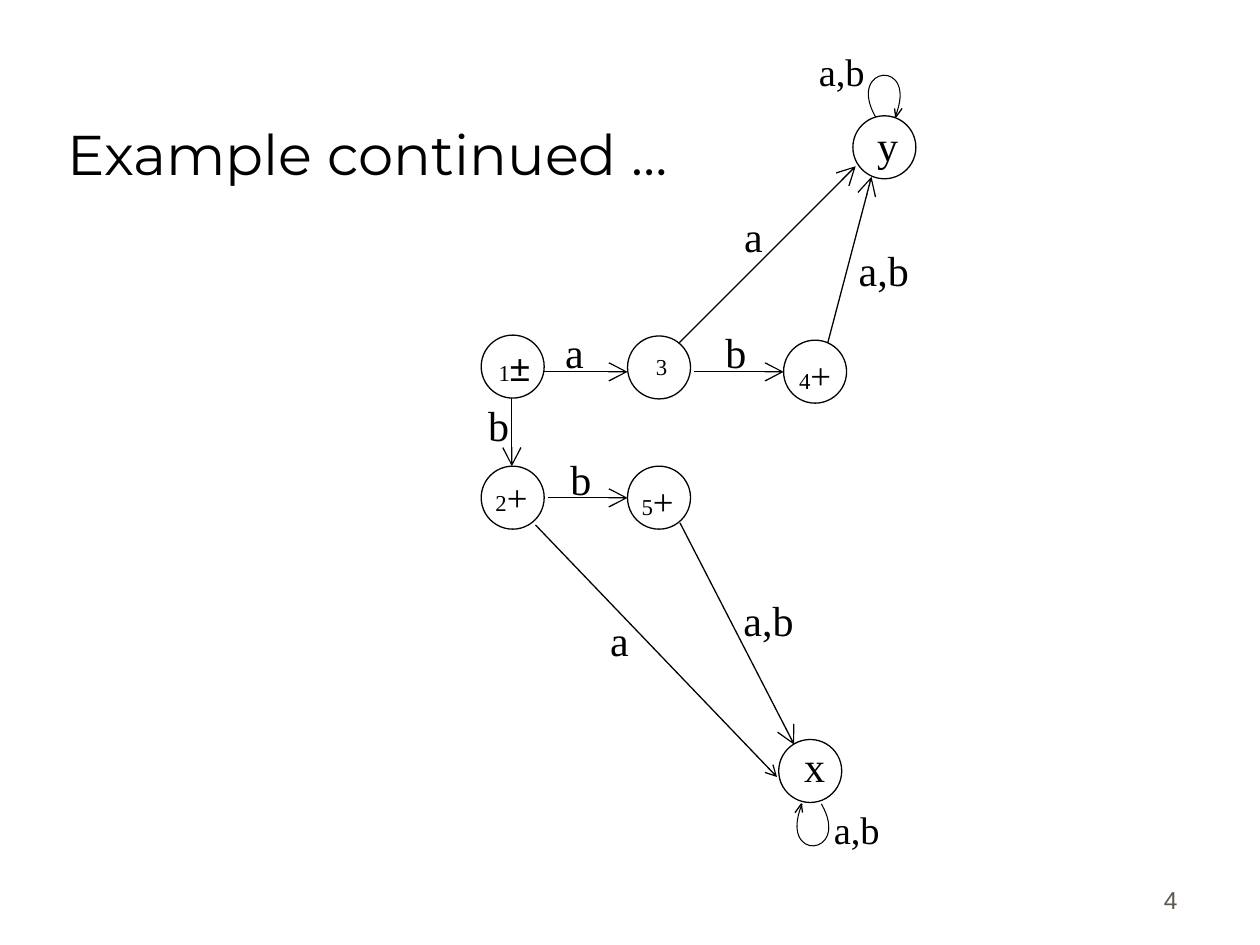
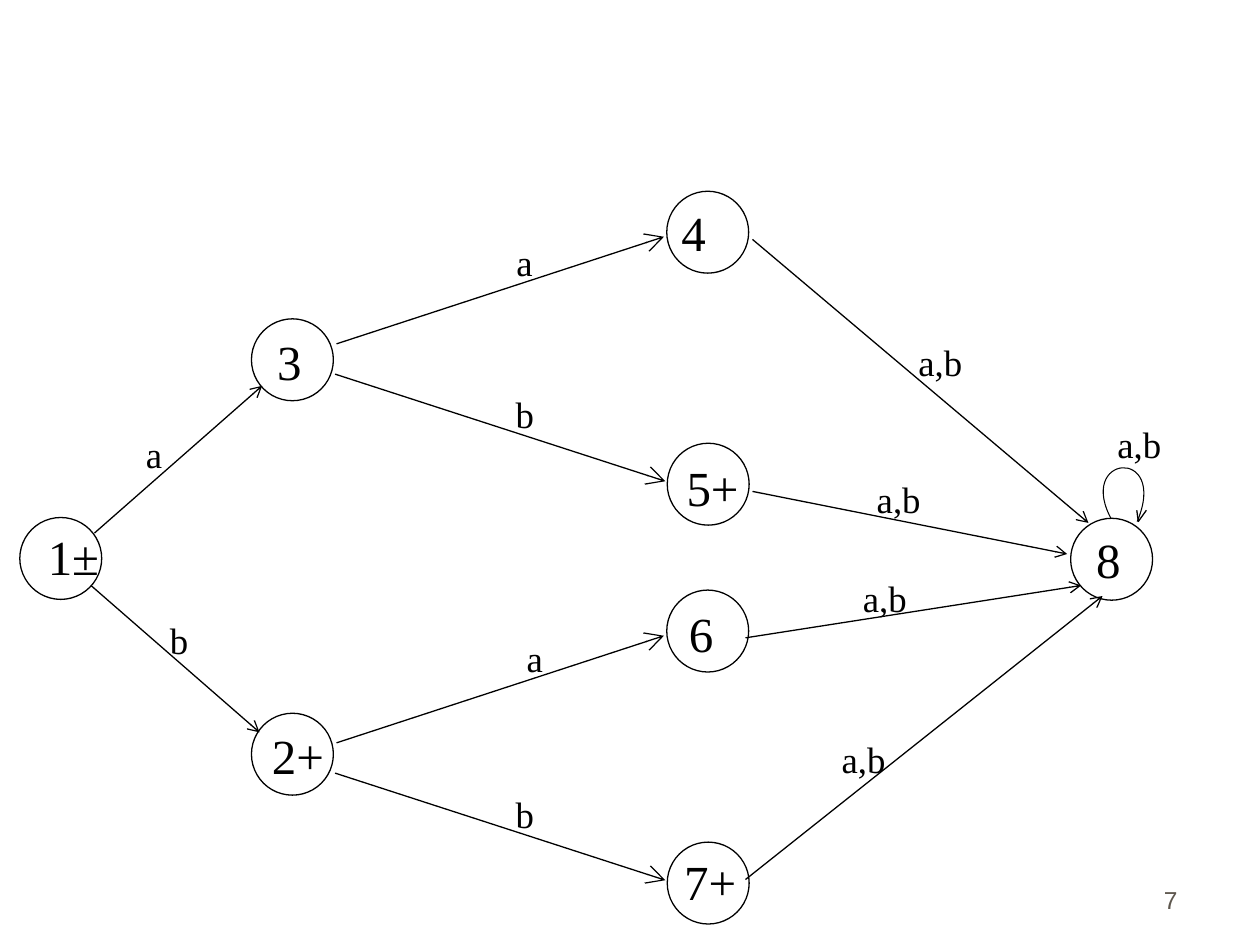
import pptx
import pptx.dml.color
import pptx.enum.shapes
import pptx.enum.text
import pptx.oxml
import pptx.oxml.ns
import pptx.util

Pt = pptx.util.Pt
ALIGN = pptx.enum.text.PP_ALIGN
ANCHOR = pptx.enum.text.MSO_ANCHOR
COLOURS = {"ink": "000000", "paper": "FFFFFF", "number": "5E574E"}
SERIF, SANS, TITLE = "Times New Roman", "Arial", "Montserrat"
LINE = 0.74
# Offsets from the point where a self-loop leaves its state, at scale 1.
LOOP_CURVE = [(0, 0), (-17.3, -30.1), (25.2, -33.8), (11, 0)]
LOOP_HEAD = [(10.8, -5), (11.5, 0), (15.1, -5)]


def colour(name):
    """Return the named colour as an RGB value."""
    return pptx.dml.color.RGBColor.from_string(COLOURS[name])


def add_text(page, words, left, top, width, height, *, size=24, font=SERIF,
             ink="ink", align=ALIGN.LEFT, anchor=ANCHOR.TOP):
    """Add a text box; words is a string or a list of (text, size, font)."""
    box = page.shapes.add_textbox(Pt(left), Pt(top), Pt(width), Pt(height))
    frame = box.text_frame
    frame.word_wrap = True
    frame.vertical_anchor = anchor
    para = frame.paragraphs[0]
    para.alignment = align
    spans = [(words, size, font)] if isinstance(words, str) else words
    for content, span_size, span_font in spans:
        span = para.add_run()
        span.text = content
        span.font.size = Pt(span_size)
        span.font.name = span_font
        span.font.color.rgb = colour(ink)


def add_page(deck, number):
    """Add a blank page with its page number."""
    page = deck.slides.add_slide(deck.slide_layouts[6])
    add_text(page, str(number), 530, 490.3, 150, 36, size=14, font=SANS,
             ink="number", align=ALIGN.RIGHT, anchor=ANCHOR.BOTTOM)
    return page


def add_state(page, left, top, diameter):
    """Add the circle of a state."""
    circle = page.shapes.add_shape(
        pptx.enum.shapes.MSO_SHAPE.OVAL,
        Pt(left), Pt(top), Pt(diameter), Pt(diameter))
    circle.shadow.inherit = False
    circle.fill.solid()
    circle.fill.fore_color.rgb = colour("paper")
    circle.line.color.rgb = colour("ink")
    circle.line.width = Pt(LINE)


def add_arrow(page, start, end, head="lg"):
    """Add a straight transition arrow with a head of size med or lg."""
    arrow = page.shapes.add_connector(
        pptx.enum.shapes.MSO_CONNECTOR.STRAIGHT,
        *(Pt(value) for value in (*start, *end)))
    arrow.line.color.rgb = colour("ink")
    arrow.line.width = Pt(LINE)
    tail = pptx.oxml.parse_xml(
        f'<a:tailEnd {pptx.oxml.ns.nsdecls("a")} type="arrow" w="{head}" len="{head}"/>')
    arrow.line._get_or_add_ln().append(tail)
    arrow._element.spPr.append(
        pptx.oxml.parse_xml(f'<a:effectLst {pptx.oxml.ns.nsdecls("a")}/>'))


def add_outline(page, points, width):
    """Add an open, unfilled outline through the points."""
    start, *others = [(Pt(x), Pt(y)) for x, y in points]
    builder = page.shapes.build_freeform(*start, scale=1.0)
    builder.add_line_segments(others, close=False)
    outline = builder.convert_to_shape()
    outline.shadow.inherit = False
    outline.fill.background()
    outline.line.color.rgb = colour("ink")
    outline.line.width = Pt(width)
    return outline


def add_loop(page, x, y, scale=1):
    """Add a self-loop leaving its state at x, y; scale -1 hangs it below."""
    curve, head = ([(x + scale * dx, y + scale * dy) for dx, dy in offsets]
                   for offsets in (LOOP_CURVE, LOOP_HEAD))
    loop = add_outline(page, curve, 0.6)
    segments = loop._element.xpath(".//a:lnTo")
    bezier = pptx.oxml.parse_xml(
        f'<a:cubicBezTo {pptx.oxml.ns.nsdecls("a")}/>')
    segments[0].addprevious(bezier)
    for segment in segments:
        bezier.append(segment[0])
        segment.getparent().remove(segment)
    add_outline(page, head, LINE)


def add_centred(page, words, middle, top, width=36, **form):
    """Add a label centred on a horizontal position."""
    add_text(page, words, middle - width / 2, top, width, 36,
             align=ALIGN.CENTER, **form)


def build_small_automaton(deck):
    """Build the page with the title and the seven-state automaton."""
    page = add_page(deck, 4)
    add_text(page, "Example continued …", 31.5, 20, 612, 90, size=32,
             font=TITLE, anchor=ANCHOR.BOTTOM)
    for left, top in [(275, 191.5), (275, 266.4), (358.6, 192), (358.6, 266.4),
                      (447.8, 194.4), (445, 422.6), (487.4, 66.2)]:
        add_state(page, left, top, 36)
    add_loop(page, 500.4, 67)
    add_loop(page, 469.4, 459.4, -1)
    for start, end in [((310.5, 212.5), (358.6, 212.5)),
                       ((396.6, 212.5), (447.8, 212.5)),
                       ((313, 284.5), (358.6, 284.5)),
                       ((292.5, 227.5), (292.5, 266.4)),
                       ((388, 196), (489, 95)),
                       ((473, 196), (498, 101)),
                       ((388.6, 298.8), (453.8, 425.5))]:
        add_arrow(page, start, end)
    add_arrow(page, (306, 300), (444, 444), "med")

    for words, middle, top, width in [
            ("a", 328.3, 183, 36), ("b", 420.5, 183, 36),
            ("a", 430.6, 116.6, 36), ("a,b", 505, 136, 70),
            ("b", 285, 224.6, 36), ("b", 332, 255.6, 36),
            ("a,b", 439.2, 336.2, 70), ("a", 354, 347.8, 84),
            ("x", 465.5, 419.8, 84), ("y", 507.2, 64.8, 84)]:
        add_centred(page, words, middle, top, width)
    for left, top in [(460.8, 23.8), (469.4, 457.2)]:
        add_text(page, "a,b", left, top, 47, 32, size=22)
    add_centred(page, "3", 378, 198, size=13)
    for digit, sign, font, middle, top in [
            (" 1", "±", SANS, 292.3, 193.7), ("2", "+", SERIF, 292.3, 267.8),
            ("4", "+", SERIF, 465.8, 198), ("5", "+", SERIF, 375.8, 270)]:
        add_centred(page, [(digit, 13, SERIF), (sign, 21, font)], middle, top)


def build_large_automaton(deck):
    """Build the page with the eight-state automaton."""
    page = add_page(deck, 7)
    add_loop(page, 635.8, 298, 1.28)
    states = [  # circle left and top, label, label left and top
        (11.3, 295.7, "1±", 20.2, 297.4), (143.7, 407.6, "2+", 148.3, 411.1),
        (143.7, 182.2, "3", 151.2, 185.8), (381, 109.3, "4", 382.3, 112.3),
        (381.3, 253.3, "5+", 385.2, 257.8), (381, 337.2, "6", 386.6, 341.3),
        (381.3, 481.2, "7+", 383.8, 483.1), (611.8, 296.2, "8", 619.2, 298.8)]
    for left, top, *_ in states:
        add_state(page, left, top, 46.8)

    # The two middle states branch alike, one 228 points below the other.
    for drop in (0, 228):
        add_arrow(page, (192.3, 196.5 + drop), (379.4, 135.3 + drop))
        add_arrow(page, (191.5, 213.8 + drop), (380.2, 275 + drop))
    for start, end in [((54, 304.6), (149.8, 220.5)),
                       ((52, 334.6), (148.3, 418.5)),
                       ((430, 136.8), (622, 298.8)),
                       ((430, 280.8), (609.8, 316.6)),
                       ((426, 364.5), (617.8, 334.6)),
                       ((426, 502.6), (630, 340.6))]:
        add_arrow(page, start, end, "med")

    labels = [(words, left, top, 28) for *_, words, left, top in states]
    labels += [(words, left, top, 21) for words, left, top in [
        ("a", 76.3, 243.4), ("b", 90, 349.2),
        ("a", 288, 133.2), ("b", 287.5, 220.3),
        ("a", 293.8, 360), ("b", 287.5, 448.6),
        ("a,b", 517.7, 190.8), ("a,b", 493.9, 268.6),
        ("a,b", 486, 325.4), ("a,b", 473.8, 417.6), ("a,b", 631.4, 237.6)]]
    for words, left, top, size in labels:
        add_text(page, words, left, top, 70.6, 49, size=size)


def main():
    """Build the deck and save it."""
    deck = pptx.Presentation()
    deck.slide_width, deck.slide_height = Pt(720), Pt(540)
    build_small_automaton(deck)
    build_large_automaton(deck)
    deck.save("out.pptx")


main()
